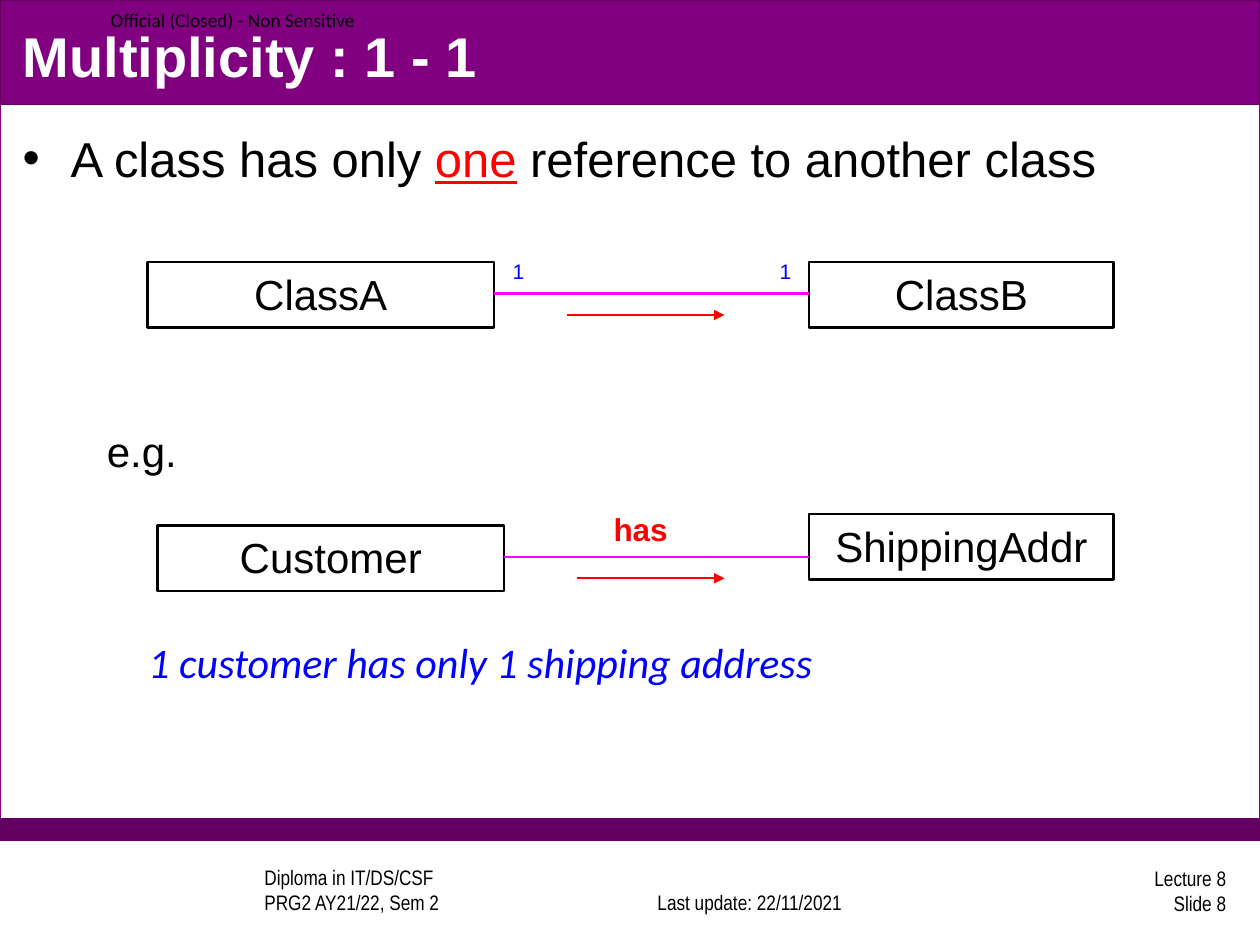
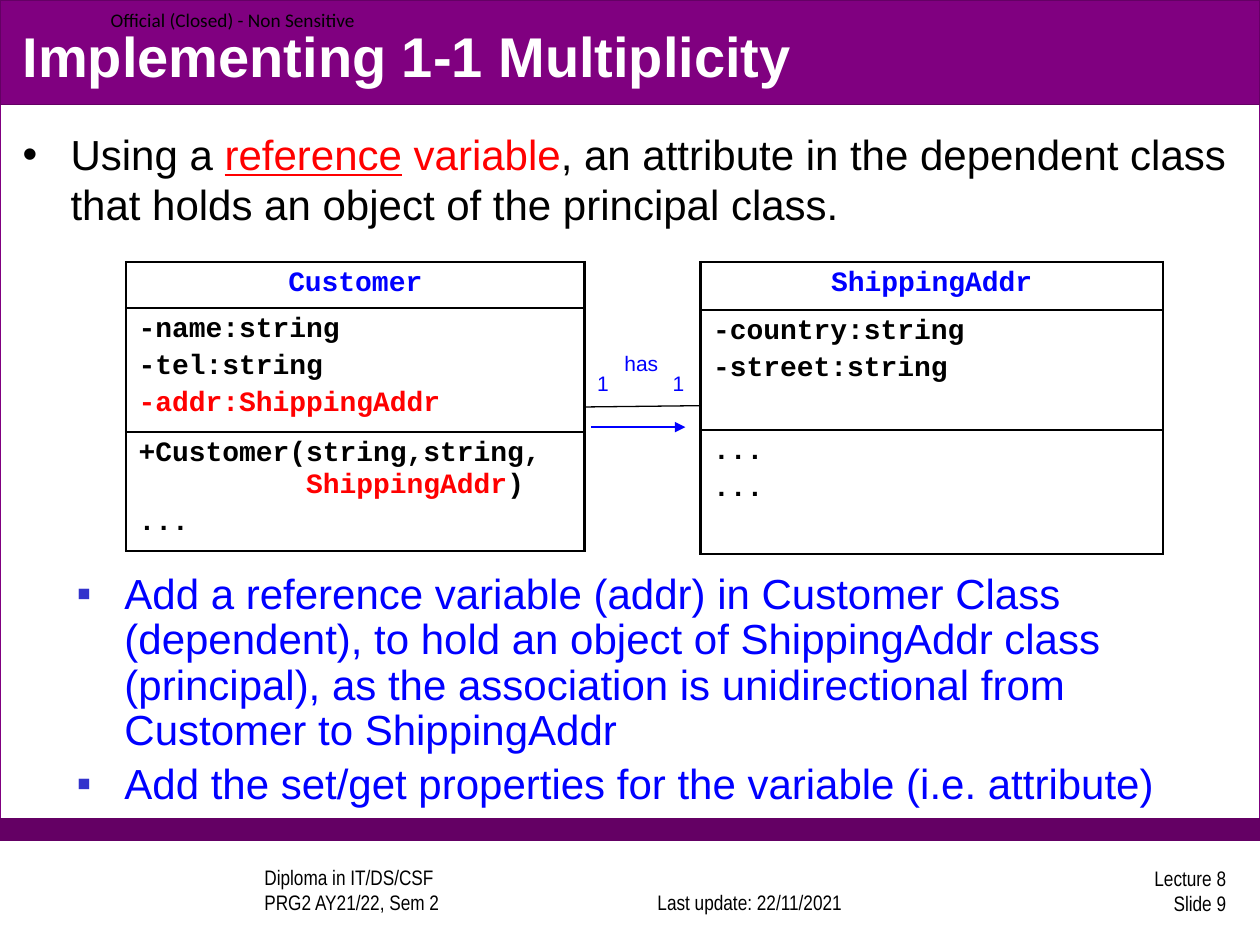
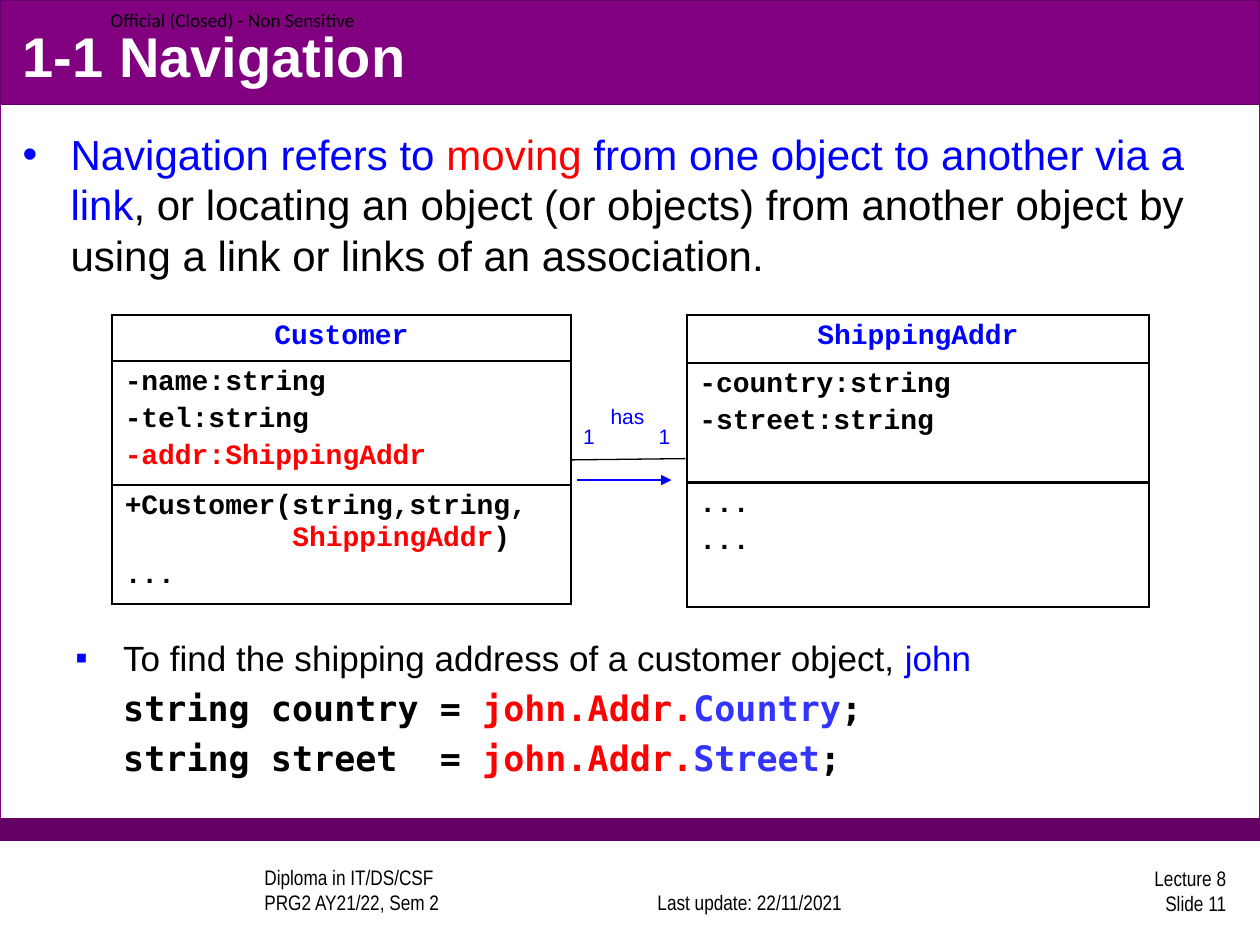
from copy import deepcopy

from lxml import etree
from pptx import Presentation
from pptx.dml.color import RGBColor
from pptx.enum.shapes import MSO_CONNECTOR, MSO_SHAPE
from pptx.enum.text import MSO_ANCHOR, MSO_AUTO_SIZE, PP_ALIGN
from pptx.oxml.ns import qn
from pptx.util import Inches, Pt

LEFT, MID, RIGHT = PP_ALIGN.LEFT, PP_ALIGN.CENTER, PP_ALIGN.RIGHT
TOP, HALF, LOW = MSO_ANCHOR.TOP, MSO_ANCHOR.MIDDLE, MSO_ANCHOR.BOTTOM
RECT, LINE, FIXED = MSO_SHAPE.RECTANGLE, MSO_CONNECTOR.STRAIGHT, MSO_AUTO_SIZE.NONE

BLACK, WHITE, RED, BLUE = "000000", "FFFFFF", "FF0000", "0000FF"
PURPLE, PLUM, PINK, INDIGO, SKY = "800080", "640064", "FF00FF", "3333CC", "3333FF"
SANS, SLIM, SOFT = "Arial", "Arial Narrow", "Calibri"
CODE, MONO = "Courier New", "DejaVu Sans Mono"
HANG = 0.38

CLIENT = [
    (0.35, [[("Customer", BLUE, "b")]]),
    (0.94, [[("-name:string", BLACK, "b")],
            [("-tel:string", BLACK, "b")],
            [("-addr:ShippingAddr", RED, "b")]]),
    (0.9, [[("+Customer(string,string,\n          ", BLACK, "b"),
            ("ShippingAddr", RED, "b"), (")", BLACK, "b")],
           [("...", BLACK, "b")]]),
]
ADDRESS = [
    (0.38, [[("ShippingAddr", BLUE, "b")]]),
    (0.95, [[("-country:string", BLACK, "b")],
            [("-street:string", BLACK, "b")]]),
    (0.99, [[("...", BLACK, "b")], [("...", BLACK, "b")]]),
]


def tint(code):
    """Turn a hex string into a colour."""
    return RGBColor.from_string(code)


def place(shape, box):
    """Move a shape to left, top, width, height in inches."""
    shape.left, shape.top, shape.width, shape.height = map(Inches, box)


def mark(para, char, colour):
    """Give a paragraph a hanging bullet."""
    props = para._p.get_or_add_pPr()
    props.set("marL", str(Inches(HANG)))
    props.set("indent", str(-Inches(HANG)))
    shade = etree.SubElement(props, qn("a:buClr"))
    etree.SubElement(shade, qn("a:srgbClr"), val=colour)
    etree.SubElement(props, qn("a:buFont"), typeface=SANS)
    etree.SubElement(props, qn("a:buChar"), char=char)


def write(frame, runs, size, font=SANS, align=LEFT, gap=0, bullet=None, pitch=None):
    """Add one paragraph of (text, colour, style letters) runs."""
    para = frame.paragraphs[0]
    first = not para.runs
    if not first:
        para = frame.add_paragraph()
    if bullet:
        mark(para, *bullet)
    para.alignment = align
    para.space_before = Pt(0 if first else gap)
    if pitch:
        para.line_spacing = pitch
    for text, colour, style in runs:
        for row, part in enumerate(text.split("\n")):
            if row:
                para.add_line_break()
                para._p[-1].append(deepcopy(run._r.get_or_add_rPr()))
            run = para.add_run()
            run.text = part
            face = run.font
            face.name, face.size = font, Pt(size)
            face.color.rgb = tint(colour)
            face.bold, face.italic = "b" in style, "i" in style
            face.underline = "u" in style


def block(slide, box, fill=None, line=BLACK, width=0.75):
    """Draw a rectangle."""
    shape = slide.shapes.add_shape(RECT, *map(Inches, box))
    shape.shadow.inherit = False
    if fill:
        shape.fill.solid()
        shape.fill.fore_color.rgb = tint(fill)
    else:
        shape.fill.background()
    shape.line.color.rgb = tint(line)
    shape.line.width = Pt(width)
    return shape


def panel(slide, box, anchor=TOP):
    """Add a wrapping text box and return its frame."""
    frame = slide.shapes.add_textbox(*map(Inches, box)).text_frame
    frame.word_wrap, frame.vertical_anchor = True, anchor
    return frame


def label(slide, box, text, size, colour=BLACK, style="", font=SANS, align=LEFT, anchor=TOP):
    """Add a text box with one run."""
    frame = panel(slide, box, anchor)
    write(frame, [(text, colour, style)], size, font, align)
    return frame


def link(slide, start, end, colour, width, arrow=False):
    """Draw a straight line, with an arrowhead if asked."""
    wire = slide.shapes.add_connector(LINE, *map(Inches, start + end))
    wire.line.color.rgb = tint(colour)
    wire.line.width = Pt(width)
    if arrow:
        etree.SubElement(wire.line._get_or_add_ln(), qn("a:tailEnd"), type="triangle")
    etree.SubElement(wire.element.spPr, qn("a:effectLst"))


def frame_up(slide):
    """Draw bands and footers, then move them to the layout."""
    layout = slide.slide_layout
    for holder in list(layout.placeholders):
        if holder.placeholder_format.idx >= 10:
            layout.shapes.element.remove(holder.element)
    block(slide, (0, 0, 10, 6.67), WHITE, PURPLE)
    block(slide, (0, 6.5, 10, 0.17), PLUM, PLUM)
    block(slide, (0, 0, 10, 0.83), PURPLE, PLUM)
    label(slide, (2, 6.89, 2.67, 0.42), "Diploma in IT/DS/CSF\nPRG2 AY21/22, Sem 2",
          12, font=SLIM, anchor=LOW)
    label(slide, (4.91, 6.89, 2.08, 0.42), "Last update: 22/11/2021",
          12, font=SLIM, align=MID, anchor=LOW)
    label(slide, (0.78, 0, 2.5, 0.31), "Official (Closed) - Non Sensitive",
          11, font=SOFT, anchor=HALF)
    for shape in list(slide.shapes):
        if not shape.is_placeholder:
            layout.shapes.element.append(shape.element)


def start(deck, number, title, runs, size, depth=5.45):
    """Add a slide with its title, lead bullet and number."""
    slide = deck.slides.add_slide(deck.slide_layouts[1])
    if len(deck.slides) == 1:
        frame_up(slide)
    head, body = slide.shapes.title, slide.placeholders[1]
    place(head, (0.08, 0.13, 9.83, 0.62))
    place(body, (0.08, 0.97, 9.83, depth))
    for holder, anchor in ((head, HALF), (body, TOP)):
        frame = holder.text_frame
        frame.auto_size, frame.word_wrap = FIXED, True
        frame.vertical_anchor = anchor
    write(head.text_frame, [(title, WHITE, "b")], 32)
    write(body.text_frame, runs, size, bullet=("•", runs[0][1]))
    label(slide, (7.75, 6.86, 2.08, 0.42), f"Lecture 8\nSlide {number}",
          12, font=SLIM, align=RIGHT, anchor=HALF)
    return slide


def node(slide, x, y, width, name):
    """Draw a named class box."""
    frame = block(slide, (x, y, width, 0.52), width=1.5).text_frame
    frame.word_wrap, frame.vertical_anchor = True, TOP
    write(frame, [(name, BLACK, "")], 24, align=MID)


def pair(slide, y, left, right, shift=0, drop=0):
    """Draw two linked class boxes with an arrow below the link."""
    x, end = 1.17 + shift, 6.42
    node(slide, x, y + drop, 2.75, left)
    node(slide, end, y, 2.42, right)
    mid = y + 0.25 + drop
    link(slide, (x + 2.75, mid), (end, mid), PINK, 1.5)
    low = mid + 0.17
    link(slide, (4.5 + shift, low), (5.75, low), RED, 1, True)


def edge(cell):
    """Give a cell black borders and no fill."""
    props = cell._tc.get_or_add_tcPr()
    for side in "LRTB":
        line = etree.SubElement(props, qn(f"a:ln{side}"), w=str(Pt(1.5)))
        fill = etree.SubElement(line, qn("a:solidFill"))
        etree.SubElement(fill, qn("a:srgbClr"), val=BLACK)
    cell.fill.background()


def card(slide, x, y, width, rows):
    """Draw a class as a table of name, fields and methods."""
    tall = sum(high for high, _ in rows)
    box = map(Inches, (x, y, width, tall))
    table = slide.shapes.add_table(len(rows), 1, *box).table
    table.first_row = table.horz_banding = False
    for i, (high, lines) in enumerate(rows):
        table.rows[i].height = Inches(high)
        cell = table.cell(i, 0)
        edge(cell)
        for runs in lines:
            write(cell.text_frame, runs, 16, CODE, LEFT if i else MID, gap=3)


def model(slide, x, y):
    """Draw both class cards and the link between them."""
    card(slide, x + 4.56, y, 3.67, ADDRESS)
    card(slide, x, y, 3.64, CLIENT)
    link(slide, (x + 3.64, y + 1.15), (x + 4.55, y + 1.14), BLACK, 0.75)
    link(slide, (x + 3.69, y + 1.31), (x + 4.44, y + 1.31), BLUE, 0.75, True)
    label(slide, (x + 3.8, y + 0.65, 0.58, 0.3), "has", 12, BLUE, align=MID)
    for step in (3.64, 4.24):
        label(slide, (x + step, y + 0.81, 0.3, 0.3), "1", 12, BLUE)


def concept(deck):
    """Build the slide on one to one links."""
    slide = start(deck, 8, "Multiplicity : 1 - 1", [
        ("A class has only ", BLACK, ""), ("one", RED, "u"),
        (" reference to another class", BLACK, "")], 28)
    pair(slide, 2.08, "ClassA", "ClassB")
    for x in (3.97, 6.09):
        label(slide, (x, 2, 0.3, 0.3), "1", 12, BLUE)
    label(slide, (0.75, 3.33, 0.83, 0.5), "e.g.", 24)
    pair(slide, 4.08, "Customer", "ShippingAddr", 0.08, 0.09)
    label(slide, (4.42, 4, 1.33, 0.4), "has", 18, RED, "b", align=MID)
    label(slide, (1.08, 5, 8, 0.5), "1 customer has only 1 shipping address",
          24, BLUE, "i", SOFT)


def coding(deck):
    """Build the slide on the reference variable."""
    slide = start(deck, 9, "Implementing 1-1 Multiplicity", [
        ("Using a ", BLACK, ""), ("reference", RED, "u"), (" variable", RED, ""),
        (", an attribute in the dependent class that holds an object of the "
         "principal class.", BLACK, "")], 24, 1.67)
    model(slide, 1, 2.08)
    frame = panel(slide, (0.51, 4.5, 9.17, 1.67))
    for text in (
        "Add a reference variable (addr) in Customer Class (dependent), to hold an "
        "object of ShippingAddr class (principal), as the association is "
        "unidirectional from Customer to ShippingAddr",
        "Add the set/get properties for the variable (i.e. attribute)",
    ):
        write(frame, [(text, BLUE, "")], 24, gap=5, bullet=("▪", INDIGO), pitch=0.9)


def travel(deck):
    """Build the slide on moving along a link."""
    slide = start(deck, 11, "1-1 Navigation", [
        ("Navigation refers to ", BLUE, ""), ("moving", RED, ""),
        (" from one object to another via a link", BLUE, ""),
        (", or locating an object (or objects) from another object by using a "
         "link or links of an association.", BLACK, "")], 24)
    model(slide, 0.89, 2.5)
    frame = panel(slide, (0.5, 5, 9.33, 1.36))
    write(frame, [("To find the shipping address of a customer object,", BLACK, ""),
                  (" john", BLUE, "")], 20, bullet=("▪", BLUE))
    for left, right in (("string country = ", "Country"), ("string street  = ", "Street")):
        write(frame, [(left, BLACK, "b"), ("john.Addr.", RED, "b"),
                      (right, SKY, "b"), (";", BLACK, "b")], 20, MONO, gap=4.8)
        frame.paragraphs[-1]._p.get_or_add_pPr().set("marL", str(Inches(HANG)))


def main():
    """Build and save the deck."""
    deck = Presentation()
    deck.slide_width, deck.slide_height = Inches(10), Inches(7.5)
    for build in (concept, coding, travel):
        build(deck)
    deck.save("out.pptx")


if __name__ == "__main__":
    main()
